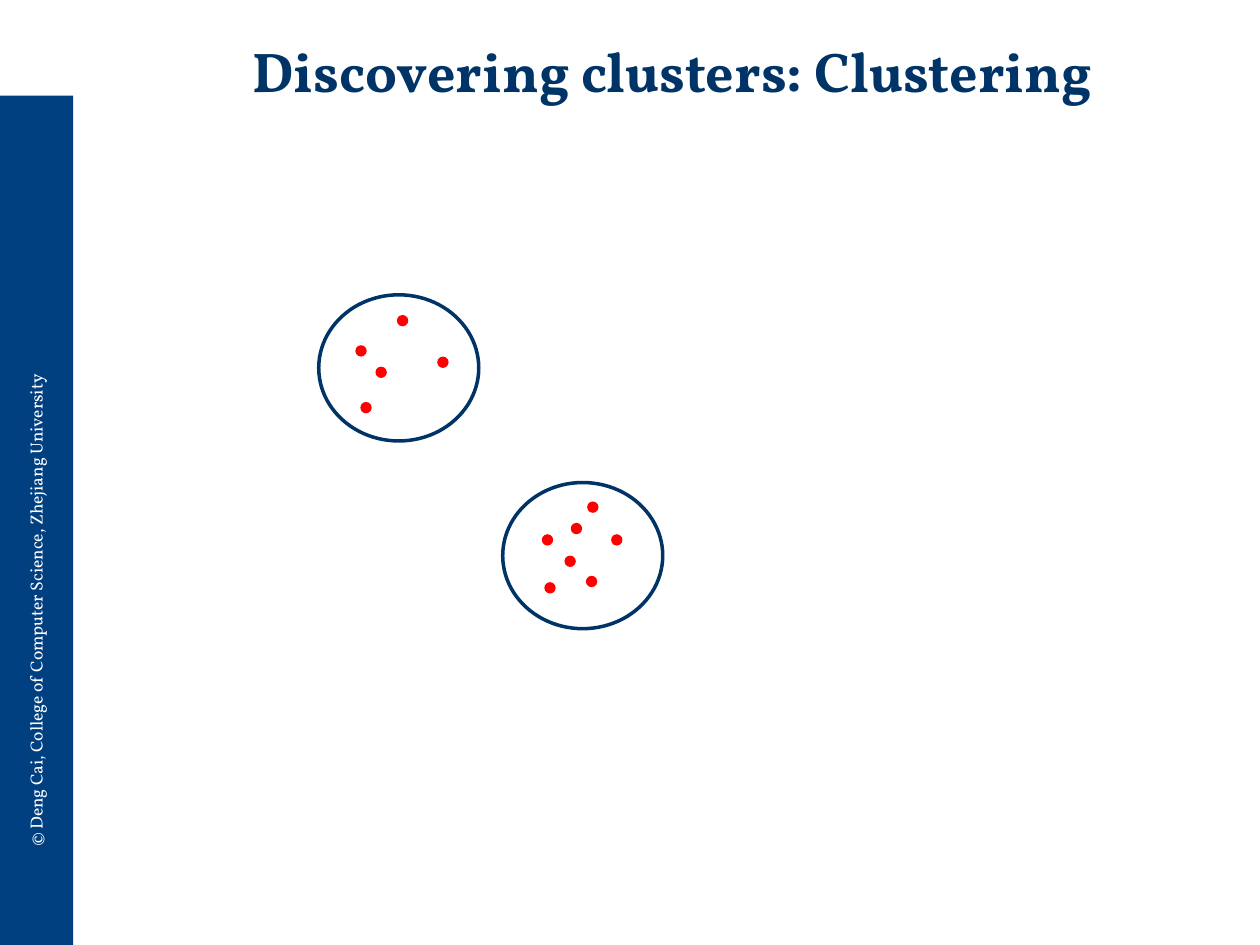
from pptx import Presentation
from pptx.dml.color import RGBColor
from pptx.enum.shapes import MSO_SHAPE
from pptx.enum.text import MSO_ANCHOR, PP_ALIGN
from pptx.util import Inches, Pt

NAVY = RGBColor(0x00, 0x33, 0x66)
BAND_BLUE = RGBColor(0x00, 0x3F, 0x80)
RED = RGBColor(0xFF, 0x00, 0x00)
WHITE = RGBColor(0xFF, 0xFF, 0xFF)
FONT = "Vollkorn"
DOT_SIZE = 0.09
CLUSTER_SIZE = (1.27, 1.16)
CLUSTERS = [
    ((2.53, 2.34), [(0.29, 0.4), (0.45, 0.57), (0.62, 0.16), (0.94, 0.49), (0.33, 0.85)]),
    ((3.99, 3.83), [(0.31, 0.41), (0.33, 0.79), (0.54, 0.32), (0.67, 0.15),
                    (0.86, 0.41), (0.49, 0.58), (0.66, 0.74)]),
]


def add_shape(slide, kind, box, fill=None, line=None):
    shape = slide.shapes.add_shape(kind, *map(Inches, box))
    shape.shadow.inherit = False
    if fill is None:
        shape.fill.background()
    else:
        shape.fill.solid()
        shape.fill.fore_color.rgb = fill
    if line is None:
        shape.line.fill.background()
    else:
        shape.line.color.rgb = line
        shape.line.width = Pt(2)
    return shape


def add_text(slide, box, text, size, color, bold=False):
    text_box = slide.shapes.add_textbox(*map(Inches, box))
    text_box.text_frame.word_wrap = True
    paragraph = text_box.text_frame.paragraphs[0]
    paragraph.text = text
    paragraph.font.name = FONT
    paragraph.font.size = Pt(size)
    paragraph.font.bold = bold
    paragraph.font.color.rgb = color
    return text_box


def add_side_band(slide, box):
    add_shape(slide, MSO_SHAPE.RECTANGLE, box, fill=BAND_BLUE)
    credit = add_text(slide, (-2.67, 3.73, 5.91, 0.27),
                      "© Deng Cai, College of Computer Science, Zhejiang University",
                      10, WHITE)
    credit.rotation = 270


def add_title(slide, box):
    title = add_text(slide, box, "Discovering clusters: Clustering", 32, NAVY, bold=True)
    title.text_frame.vertical_anchor = MSO_ANCHOR.BOTTOM
    paragraph = title.text_frame.paragraphs[0]
    paragraph.alignment = PP_ALIGN.CENTER
    paragraph.line_spacing = 0.9


def add_cluster(slide, box, dots):
    left, top, width, height = box
    for x, y in dots:
        add_shape(slide, MSO_SHAPE.OVAL, (left + x, top + y, DOT_SIZE, DOT_SIZE), fill=RED)
    add_shape(slide, MSO_SHAPE.OVAL, box, line=NAVY)


def main():
    presentation = Presentation()
    presentation.slide_width = Inches(10)
    presentation.slide_height = Inches(7.5)
    slide = presentation.slides.add_slide(presentation.slide_layouts[6])
    add_side_band(slide, (0, 0.76, 0.58, 6.74))
    add_title(slide, (0.87, 0.21, 8.94, 0.67))
    for corner, dots in CLUSTERS:
        add_cluster(slide, corner + CLUSTER_SIZE, dots)
    presentation.save("out.pptx")


if __name__ == "__main__":
    main()
